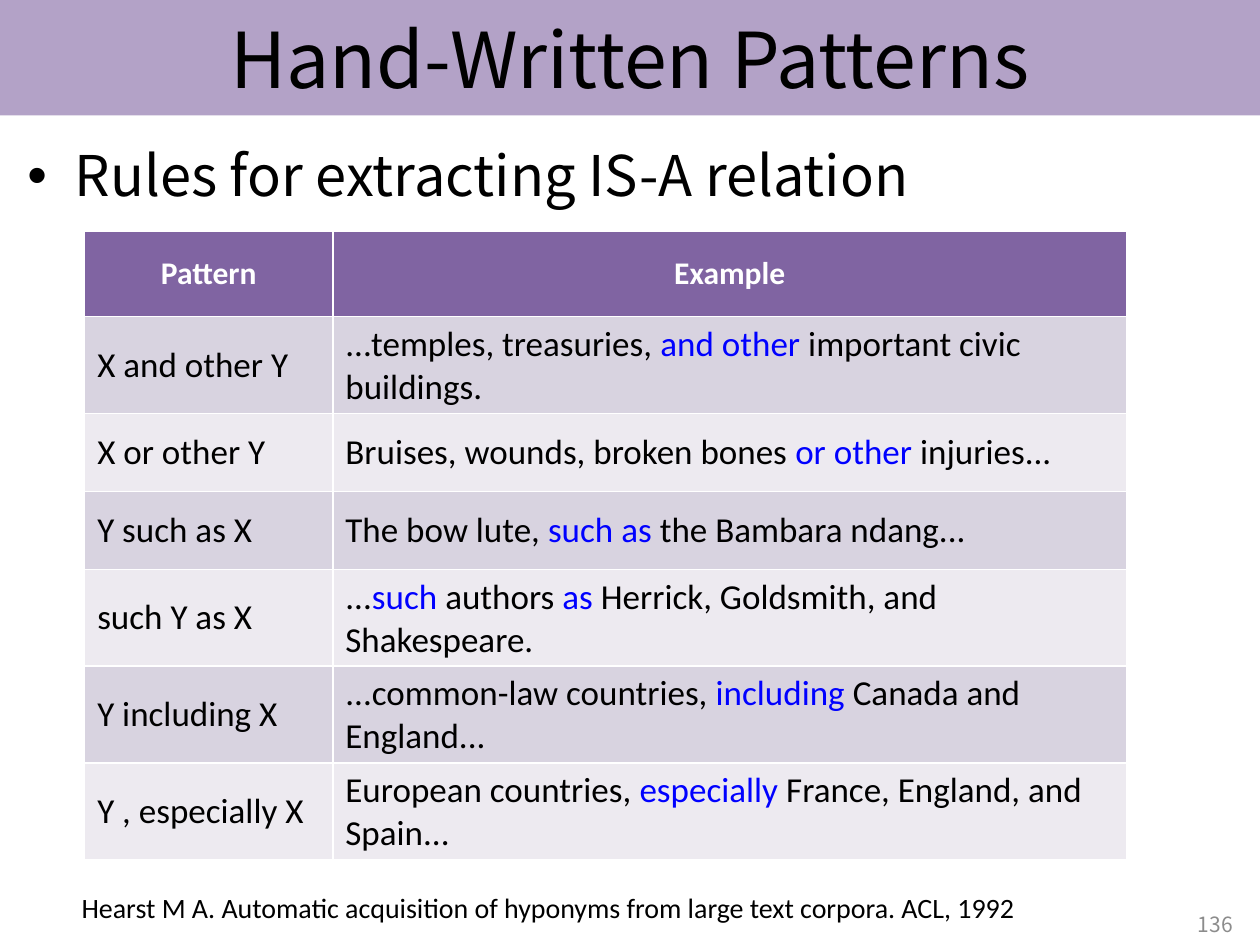
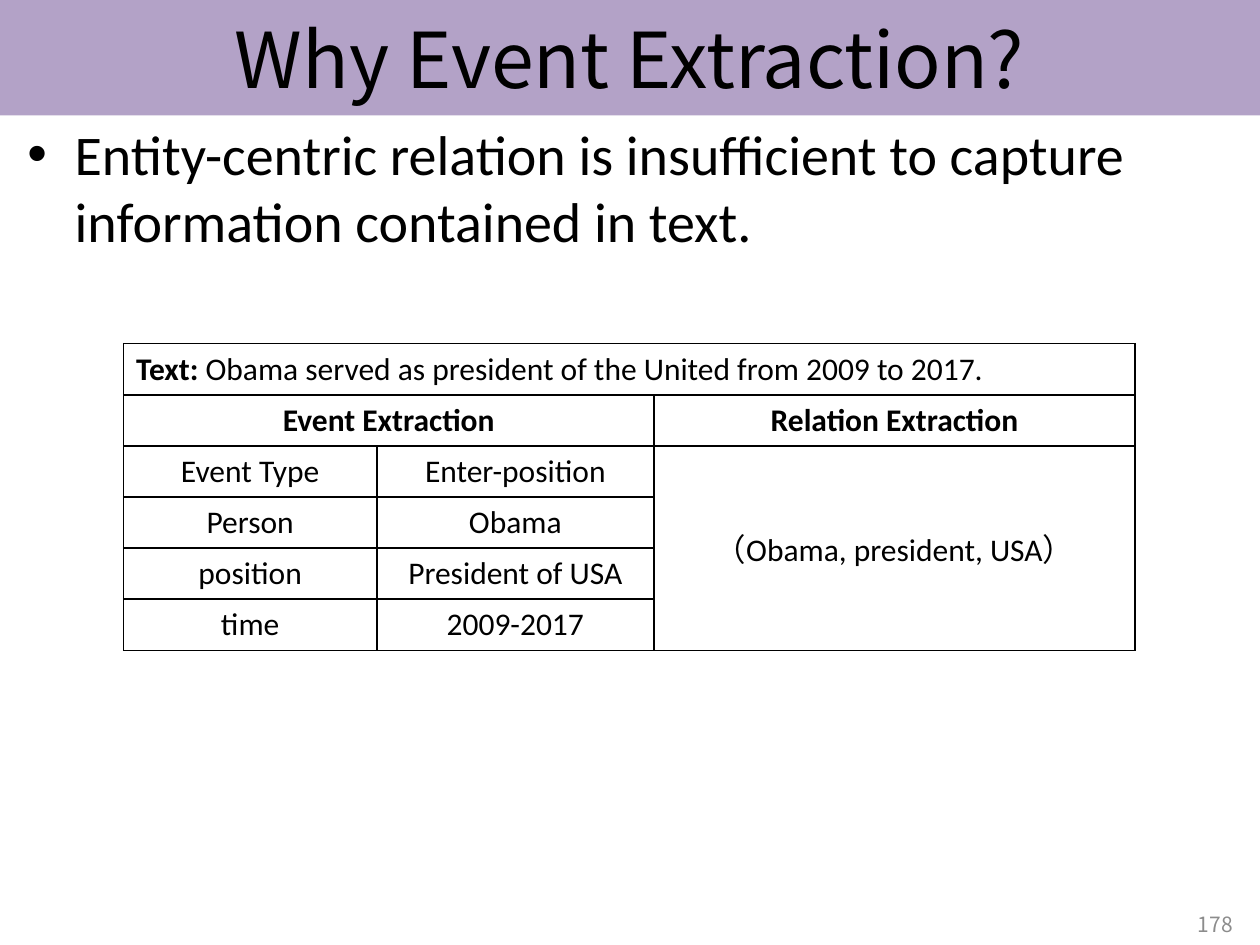
import pptx
import pptx.util
import pptx.dml.color
import pptx.enum.text
import pptx.oxml

Pt = pptx.util.Pt
ALIGN = pptx.enum.text.PP_ALIGN
ANCHOR = pptx.enum.text.MSO_ANCHOR

SANS = "Noto Sans CJK SC"
CALIBRI = "Calibri"
COLORS = {
    "black": "000000", "white": "FFFFFF", "number": "8C8C8C",
    "band": "B3A2C7", "header": "8064A2", "highlight": "0000FF",
    "dark row": "D8D3E0", "light row": "EDEAF0",
}
NAMESPACE = 'xmlns:a="http://schemas.openxmlformats.org/drawingml/2006/main"'

HEARST_PATTERNS = [
    ("X and other Y", ["...temples, treasuries, ", "and other ", "important civic buildings."]),
    ("X or other Y", ["Bruises, wounds, broken bones ", "or other ", "injuries..."]),
    ("Y such as X", ["The bow lute, ", "such as ", "the Bambara ndang..."]),
    ("such Y as X", ["...", "such ", "authors ", "as ", "Herrick, Goldsmith, and Shakespeare."]),
    ("Y including X", ["...common-law countries, ", "including ", "Canada and England..."]),
    ("Y , especially X", ["European countries, ", "especially ", "France, England, and Spain..."]),
]
EVENT_ROLES = [
    ("Event Type", "Enter-position"),
    ("Person", "Obama"),
    ("position", "President of USA"),
    ("time", "2009-2017"),
]


def rgb(name):
    return pptx.dml.color.RGBColor.from_string(COLORS[name])


def style_paragraph(paragraph, size, font=CALIBRI, color="black", bold=False, align=ALIGN.LEFT):
    paragraph.alignment = align
    paragraph.font.size = Pt(size)
    paragraph.font.name = font
    paragraph.font.bold = bold
    paragraph.font.color.rgb = rgb(color)


def add_text(slide, text, left, top, width, height, size, anchor=ANCHOR.TOP, bullet=False, **style):
    frame = slide.shapes.add_textbox(Pt(left), Pt(top), Pt(width), Pt(height)).text_frame
    frame.word_wrap = True
    frame.vertical_anchor = anchor
    paragraph = frame.paragraphs[0]
    paragraph.text = text
    if bullet:
        properties = paragraph._p.get_or_add_pPr()
        properties.set("marL", str(Pt(27)))
        properties.set("indent", str(Pt(-27)))
        for element in ('<a:buFont %s typeface="Arial"/>', '<a:buChar %s char="•"/>'):
            properties.append(pptx.oxml.parse_xml(element % NAMESPACE))
    style_paragraph(paragraph, size, **style)


def add_titled_slide(presentation, title, number):
    slide = presentation.slides.add_slide(presentation.slide_layouts[5])
    band = slide.shapes.title
    band.left, band.top, band.width, band.height = Pt(0), Pt(0), Pt(720), Pt(66)
    band.fill.solid()
    band.fill.fore_color.rgb = rgb("band")
    band.text_frame.text = title
    band.text_frame.vertical_anchor = ANCHOR.MIDDLE
    style_paragraph(band.text_frame.paragraphs[0], 44, font=SANS, align=ALIGN.CENTER)
    add_text(slide, number, 543.6, 513.4, 168, 28.8, 12, anchor=ANCHOR.MIDDLE,
             font=SANS, color="number", align=ALIGN.RIGHT)
    return slide


def add_table(slide, left, top, widths, heights, border):
    table = slide.shapes.add_table(len(heights), len(widths), Pt(left), Pt(top),
                                   Pt(sum(widths)), Pt(sum(heights))).table
    table.first_row = table.horz_banding = False
    for column, width in zip(table.columns, widths):
        column.width = Pt(width)
    for row, height in zip(table.rows, heights):
        row.height = Pt(height)
    for cell in table.iter_cells():
        properties = cell._tc.get_or_add_tcPr()
        for side in "LRTB":
            properties.append(pptx.oxml.parse_xml(
                f'<a:ln{side} {NAMESPACE} w="{Pt(1)}"><a:solidFill>'
                f'<a:srgbClr val="{COLORS[border]}"/></a:solidFill></a:ln{side}>'))
        cell.fill.background()
    return table


def fill_cell(cell, text, size, fill=None, anchor=ANCHOR.MIDDLE, **style):
    cell.vertical_anchor = anchor
    if fill:
        cell.fill.solid()
        cell.fill.fore_color.rgb = rgb(fill)
    paragraph = cell.text_frame.paragraphs[0]
    pieces = [text] if isinstance(text, str) else text
    for piece in pieces:
        paragraph.add_run().text = piece
    style_paragraph(paragraph, size, **style)
    return paragraph


def add_patterns_slide(presentation):
    slide = add_titled_slide(presentation, "Hand-Written Patterns", "136")
    add_text(slide, "Rules for extracting IS-A relation", 8.6, 77, 702.7, 430.6, 32,
             bullet=True, font=SANS)
    table = add_table(slide, 48.4, 132, [141.8, 453.6],
                      [49] + [44.6] * len(HEARST_PATTERNS), "white")
    for column, heading in enumerate(("Pattern", "Example")):
        fill_cell(table.cell(0, column), heading, 18, "header",
                  color="white", bold=True, align=ALIGN.CENTER)
    for row, (pattern, example) in enumerate(HEARST_PATTERNS, start=1):
        fill = "dark row" if row % 2 else "light row"
        fill_cell(table.cell(row, 0), pattern, 20, fill)
        paragraph = fill_cell(table.cell(row, 1), example, 20, fill)
        for keyword in paragraph.runs[1::2]:
            keyword.font.color.rgb = rgb("highlight")
    add_text(slide, "Hearst M A. Automatic acquisition of hyponyms from large text corpora. ACL, 1992",
             39.6, 505.4, 587.5, 26.6, 16)


def add_events_slide(presentation):
    slide = add_titled_slide(presentation, "Why Event Extraction?", "178")
    add_text(slide, "Entity-centric relation is insufficient to capture information contained in text.",
             8.6, 64.8, 702.7, 436.3, 32, bullet=True)
    table = add_table(slide, 70.6, 196.4, [144.7, 158.4, 275],
                      [29.2] * (len(EVENT_ROLES) + 2), "black")
    for first, last in (((0, 0), (0, 2)), ((1, 0), (1, 1)), ((2, 2), (5, 2))):
        table.cell(*first).merge(table.cell(*last))
    sentence = fill_cell(table.cell(0, 0), [
        "Text: ", "Obama served as president of the United from 2009 to 2017."], 18,
        anchor=ANCHOR.TOP)
    sentence.runs[0].font.bold = True
    for column, heading in ((0, "Event Extraction"), (2, "Relation Extraction")):
        fill_cell(table.cell(1, column), heading, 18, anchor=ANCHOR.TOP,
                  bold=True, align=ALIGN.CENTER)
    for row, role in enumerate(EVENT_ROLES, start=2):
        for column, text in enumerate(role):
            fill_cell(table.cell(row, column), text, 18, anchor=ANCHOR.TOP, align=ALIGN.CENTER)
    fill_cell(table.cell(2, 2), "（Obama, president, USA）", 18, align=ALIGN.CENTER)


def main():
    presentation = pptx.Presentation()
    presentation.slide_width, presentation.slide_height = Pt(720), Pt(540)
    add_patterns_slide(presentation)
    add_events_slide(presentation)
    presentation.save("out.pptx")


if __name__ == "__main__":
    main()
